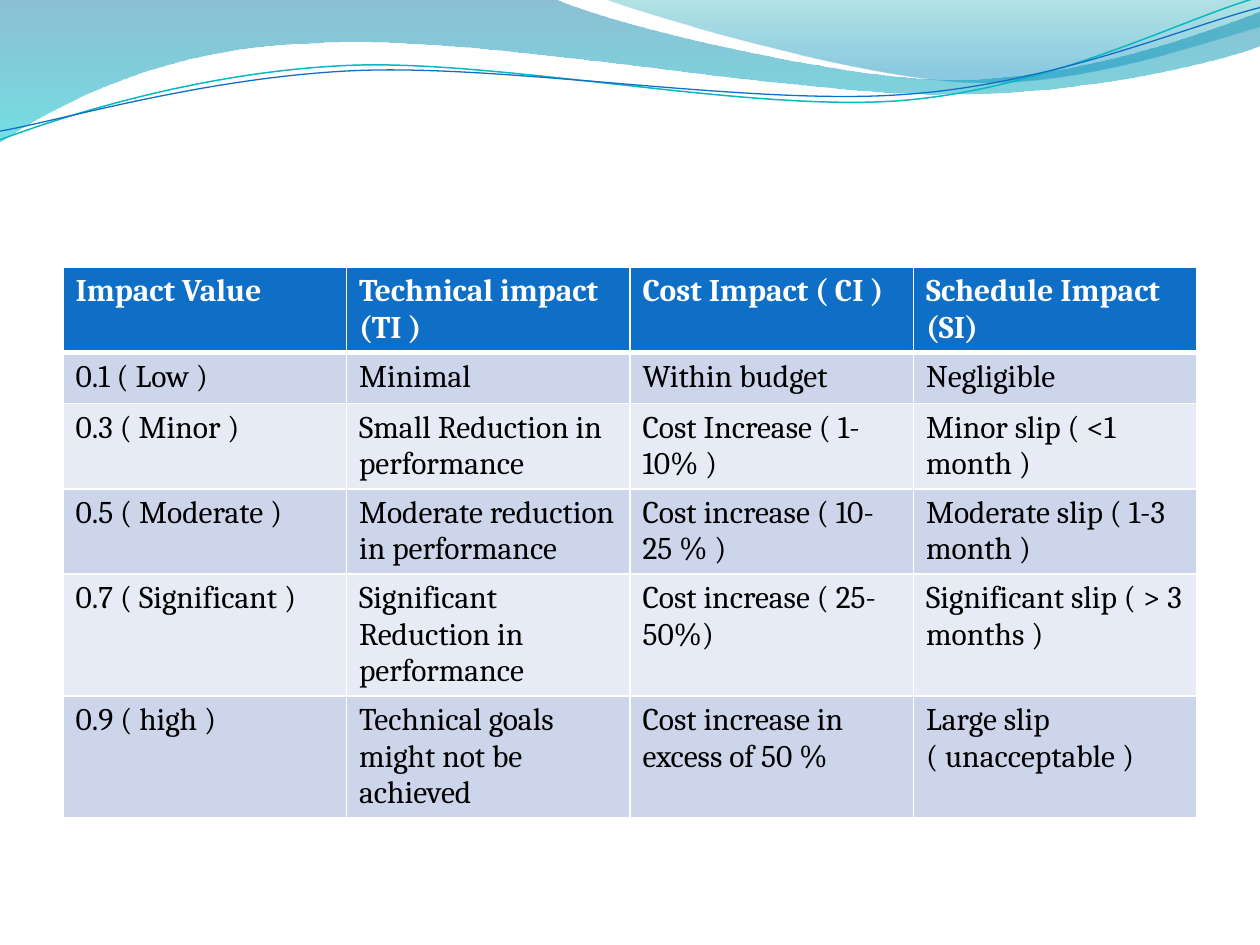
from lxml.etree import SubElement
from pptx import Presentation
from pptx.dml.color import RGBColor
from pptx.oxml.ns import qn
from pptx.util import Pt


def color(hex_string):
    return RGBColor.from_string(hex_string)


class SlideBuilder:
    font_name = "Cambria"
    font_size = 18
    header_fill = "0F6FC6"
    band_fills = ("CCD5EA", "E7EBF5")
    border_color = "FFFFFF"

    def __init__(self, slide):
        self.slide = slide

    def outline(self, start, segments, close):
        """A segment of one point is a line, of three points a Bezier curve."""
        points = [(Pt(x), Pt(y)) for segment in segments for x, y in segment]
        builder = self.slide.shapes.build_freeform(Pt(start[0]), Pt(start[1]))
        shape = builder.add_line_segments(points, close=close).convert_to_shape()
        shape.shadow.inherit = False
        lines = list(shape._element.iter(qn("a:lnTo")))
        for segment in segments:
            first, *rest = lines[:len(segment)]
            del lines[:len(segment)]
            if rest:
                first.tag = qn("a:cubicBezTo")
                for line in rest:
                    first.append(line[0])
                    line.getparent().remove(line)
        return shape

    def wave(self, start, segments, stops):
        shape = self.outline(start, segments, True)
        shape.line.fill.background()
        shape.fill.gradient()
        shape.fill.gradient_angle = 270
        for stop, (position, hex_string, opacity) in zip(shape.fill.gradient_stops, stops):
            stop.position = position
            stop.color.rgb = color(hex_string)
        tints = shape._element.spPr.iter(qn("a:srgbClr"))
        for tint, (position, hex_string, opacity) in zip(tints, stops):
            SubElement(tint, qn("a:alpha"), val=str(opacity * 1000))

    def curve(self, start, segments, hex_string, width):
        shape = self.outline(start, segments, False)
        shape.fill.background()
        shape.line.color.rgb = color(hex_string)
        shape.line.width = Pt(width)

    def border(self, cell, side, width):
        line = SubElement(cell._tc.get_or_add_tcPr(), qn(f"a:ln{side}"), w=str(Pt(width)))
        fill = SubElement(line, qn("a:solidFill"))
        SubElement(fill, qn("a:srgbClr"), val=self.border_color)

    def cell(self, cell, text, row):
        header = row == 0
        widths = {"L": 1, "R": 1, "T": 3 if row == 1 else 1, "B": 3 if header else 1}
        for side, width in widths.items():
            self.border(cell, side, width)
        cell.fill.solid()
        cell.fill.fore_color.rgb = color(
            self.header_fill if header else self.band_fills[(row - 1) % 2])
        cell.text = text
        font = cell.text_frame.paragraphs[0].font
        font.name = self.font_name
        font.size = Pt(self.font_size)
        font.bold = header
        font.color.rgb = color("FFFFFF" if header else "000000")

    def table(self, left, top, width, row_height, rows):
        frame = self.slide.shapes.add_table(
            len(rows), len(rows[0]), Pt(left), Pt(top), Pt(width), Pt(row_height * len(rows)))
        for row, texts in enumerate(rows):
            for column, text in enumerate(texts):
                self.cell(frame.table.cell(row, column), text, row)


IMPACTS = [
    ("Impact Value", "Technical impact (TI )", "Cost Impact ( CI )", "Schedule Impact (SI)"),
    ("0.1 ( Low )", "Minimal", "Within budget", "Negligible"),
    ("0.3 ( Minor )", "Small Reduction in performance", "Cost Increase ( 1-10% )",
     "Minor slip ( <1 month )"),
    ("0.5 ( Moderate )", "Moderate reduction in performance", "Cost increase ( 10-25 % )",
     "Moderate slip ( 1-3 month )"),
    ("0.7 ( Significant )", "Significant Reduction in performance", "Cost increase ( 25-50%)",
     "Significant slip ( > 3 months )"),
    ("0.9 ( high )", "Technical goals might not be achieved", "Cost increase in excess of 50 %",
     "Large slip ( unacceptable )"),
]


def main():
    presentation = Presentation()
    presentation.slide_width = Pt(720)
    presentation.slide_height = Pt(540)
    builder = SlideBuilder(presentation.slides.add_slide(presentation.slide_layouts[6]))

    # Translucent waves along the top
    builder.wave((0, 0), [
        [(316.8, -0.7)],
        [(342.7, 12.2), (478.1, 45.4), (545.8, 45.4)],
        [(614.2, 45.4), (689.8, 18.7), (720, 6.5)],
        [(720.7, 25.9)],
        [(707.8, 31.7), (626.4, 54.7), (537.1, 54)],
        [(447.8, 54), (275, 20.2), (185, 24.5)],
        [(92.9, 25.9), (33.1, 59.8), (-0.7, 81.4)],
    ], [(0, "0074A1", 45), (1, "00C6CF", 55)])
    builder.wave((344.9, -0.7), [
        [(366.5, 7.9), (491, 44.6), (553.7, 46.8)],
        [(616.3, 49.7), (691.9, 23), (720, 15.1)],
        [(720, 0)],
    ], [(0, "00A1A9", 30), (0.8, "008BBF", 45)])

    # Thin curves that follow the waves
    builder.curve((0, 79.9), [
        [(34.6, 67), (113.8, 41), (199.4, 37.4)],
        [(284.4, 33.8), (427, 64.1), (513.4, 57.6)],
        [(599.8, 51.1), (675.4, 10.8), (718.6, -1.4)],
    ], "0AB8BF", 0.85)
    builder.curve((0, 74.9), [
        [(33.8, 69.1), (118.1, 43.9), (203.8, 40.3)],
        [(290.2, 36.7), (429.8, 60.5), (516.2, 54)],
        [(601.9, 48.2), (677.5, 15.1), (720, 4.3)],
    ], "0F6FC6", 0.75)

    # Impact table, whose rows grow with their text
    builder.table(36, 152.6, 648, 29.2, IMPACTS)

    presentation.save("out.pptx")


if __name__ == "__main__":
    main()
